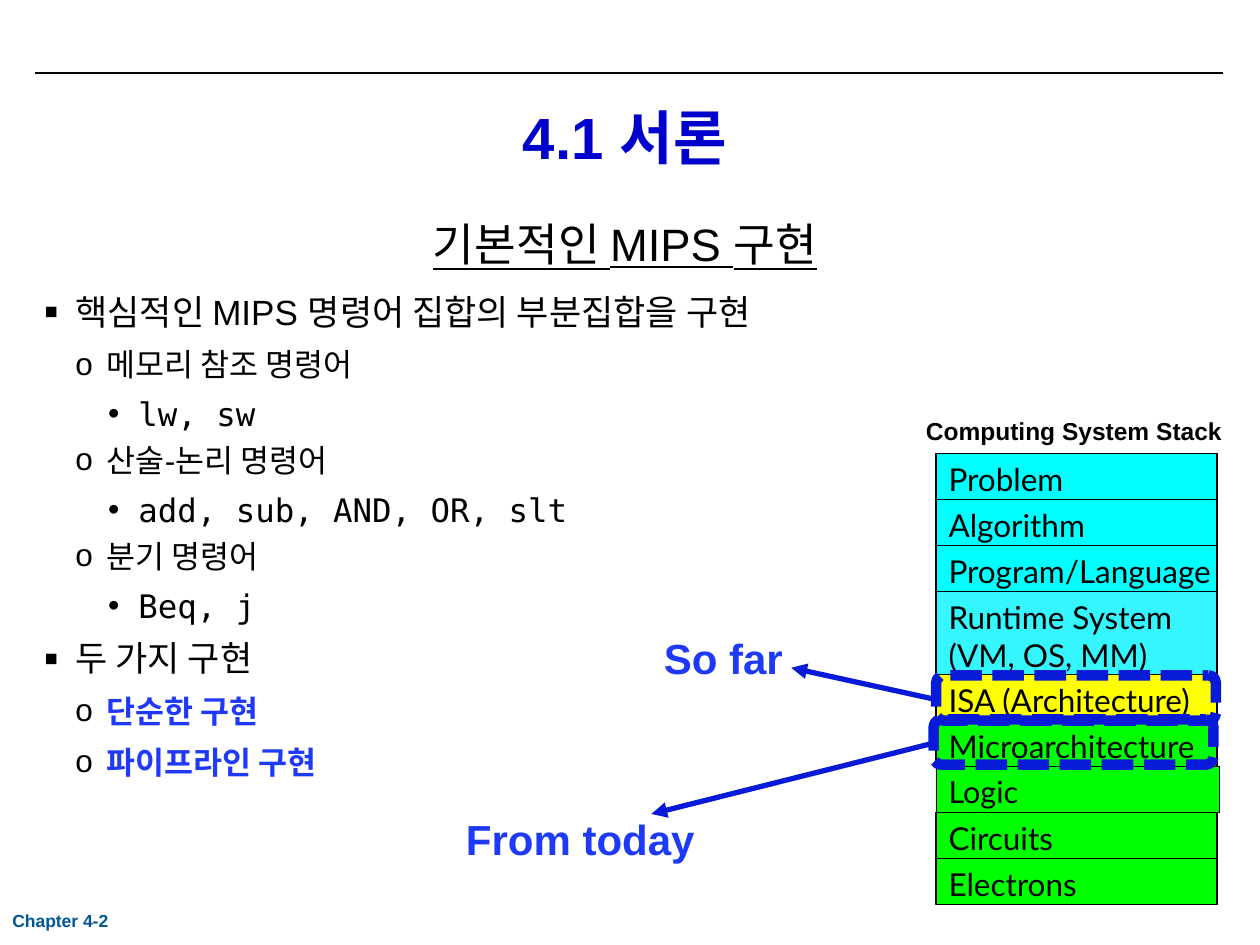
from dataclasses import dataclass

from lxml import etree
from pptx import Presentation
from pptx.dml.color import RGBColor
from pptx.enum.dml import MSO_LINE
from pptx.enum.shapes import MSO_CONNECTOR, MSO_SHAPE
from pptx.enum.text import MSO_ANCHOR, PP_ALIGN
from pptx.oxml.ns import qn
from pptx.util import Inches, Pt

RECT = MSO_SHAPE.RECTANGLE
ROUND = MSO_SHAPE.ROUNDED_RECTANGLE
LINE = MSO_CONNECTOR.STRAIGHT
DASH = MSO_LINE.SQUARE_DOT
TOP, MIDDLE = MSO_ANCHOR.TOP, MSO_ANCHOR.MIDDLE
LEFT, CENTER = PP_ALIGN.LEFT, PP_ALIGN.CENTER
MONO = "DejaVu Sans Mono"
HEX = {
    "black": "000000", "title": "0000CC", "blue": "1E3AF8", "navy": "071AD7",
    "footer": "005693", "cyan": "00FFFF", "sky": "35F6FF",
    "yellow": "FFFF00", "green": "00FF00",
}


@dataclass
class Style:
    """Look of a run of text."""
    size: float
    color: str = "black"
    bold: bool = False
    font: str = "Arial"
    under: bool = False


@dataclass
class Level:
    """Bullet, indent and spacing of an outline level."""
    mark: str
    left: float
    hang: float
    before: int
    after: int
    scale: int = 100


@dataclass
class Item:
    """One line of the outline."""
    text: str
    level: int
    style: Style


@dataclass
class Layer:
    """One box of the system stack."""
    text: str
    color: str
    height: float = 0.365
    width: float = 2.23
    size: float = 18


@dataclass
class Callout:
    """A dashed frame with an arrow to its label."""
    text: str
    frame: tuple[float, float]
    label: tuple[float, float, float]
    start: tuple[float, float]
    end: tuple[float, float]


HEAD = Style(20)
SUB = Style(18)
CODE = Style(18.5, font=MONO)
KEY = Style(18, "blue", True)
LEVELS = [
    Level("▪", 0.25, 0.25, 35, 15, 120),
    Level("o", 0.5, 0.25, 25, 15),
    Level("•", 0.75, 0.24, 20, 0),
]
ITEMS = [
    Item("핵심적인 MIPS 명령어 집합의 부분집합을 구현", 0, HEAD),
    Item("메모리 참조 명령어", 1, SUB),
    Item("lw, sw", 2, CODE),
    Item("산술-논리 명령어", 1, SUB),
    Item("add, sub, AND, OR, slt", 2, CODE),
    Item("분기 명령어", 1, SUB),
    Item("Beq, j", 2, CODE),
    Item("두 가지 구현", 0, HEAD),
    Item("단순한 구현", 1, KEY),
    Item("파이프라인 구현", 1, KEY),
]
STACK = [
    Layer("Problem", "cyan"),
    Layer("Algorithm", "cyan"),
    Layer("Program/Language", "cyan"),
    Layer("Runtime System\n(VM, OS, MM)", "sky", 0.66),
    Layer("ISA (Architecture)", "yellow"),
    Layer("Microarchitecture", "green"),
    Layer("Logic", "green", width=2.25, size=17.5),
    Layer("Circuits", "green"),
    Layer("Electrons", "green"),
]
CALLS = [
    Callout("So far", (8.36, 4.43), (5.17, 4.97, 1.16), (7.42, 5.55), (6.28, 5.3)),
    Callout("From today", (8.34, 4.78), (3.6, 6.41, 2.03), (7.4, 5.9), (5.17, 6.46)),
]


def color(name: str) -> RGBColor:
    """Look up a colour."""
    return RGBColor.from_string(HEX[name])


def format_para(para, style: Style, align=LEFT) -> None:
    """Format a paragraph and its runs."""
    para.alignment = align
    for run in para.runs:
        font = run.font
        font.name, font.size, font.bold = style.font, Pt(style.size), style.bold
        font.underline = style.under
        font.color.rgb = color(style.color)


def add_tag(node, tag: str, **attrs: str):
    """Append a DrawingML element."""
    return etree.SubElement(node, qn(f"a:{tag}"), attrs)


def space(para, before: int, after: int = 0) -> None:
    """Set paragraph spacing in percent of the line."""
    props = para._p.get_or_add_pPr()
    for tag, value in (("spcBef", before), ("spcAft", after)):
        add_tag(add_tag(props, tag), "spcPct", val=str(value * 1000))


def add_mark(para, level: Level) -> None:
    """Give a paragraph its bullet and hanging indent."""
    space(para, level.before, level.after)
    props = para._p.get_or_add_pPr()
    props.set("marL", str(Inches(level.left)))
    props.set("indent", str(Inches(-level.hang)))
    add_tag(add_tag(props, "buClr"), "srgbClr", val=HEX["black"])
    add_tag(props, "buSzPct", val=str(level.scale * 1000))
    add_tag(props, "buFont", typeface="Arial")
    add_tag(props, "buChar", char=level.mark)


def add_text(slide, text: str, area: tuple, style: Style, align=LEFT, wrap=False):
    """Add a text box and return its frame."""
    frame = slide.shapes.add_textbox(*map(Inches, area)).text_frame
    frame.word_wrap = wrap
    frame.text = text
    format_para(frame.paragraphs[0], style, align)
    return frame


def add_line(slide, start: tuple, end: tuple, name: str, width: float, arrow=False) -> None:
    """Draw a straight line, with an arrowhead if asked."""
    line = slide.shapes.add_connector(LINE, *map(Inches, start + end))
    line.line.color.rgb = color(name)
    line.line.width = Pt(width)
    if arrow:
        add_tag(line.line._get_or_add_ln(), "tailEnd", type="triangle")
    add_tag(line._element.spPr, "effectLst")


def add_layer(slide, layer: Layer, top: float) -> None:
    """Draw one box of the stack."""
    area = map(Inches, (7.43, top, layer.width, layer.height))
    box = slide.shapes.add_shape(RECT, *area)
    box.shadow.inherit = False
    box.fill.solid()
    box.fill.fore_color.rgb = color(layer.color)
    box.line.color.rgb = color("black")
    box.line.width = Pt(0.75)
    frame = box.text_frame
    frame.word_wrap = False
    frame.vertical_anchor = TOP
    frame.text = layer.text
    for para in frame.paragraphs:
        format_para(para, Style(layer.size, font="Lato"))


def add_call(slide, call: Callout) -> None:
    """Draw a dashed frame, its label and its arrow."""
    box = slide.shapes.add_shape(ROUND, *map(Inches, call.frame + (0.36, 2.22)))
    box.rotation = 90
    box.shadow.inherit = False
    box.fill.background()
    box.line.color.rgb = color("navy")
    box.line.width = Pt(6)
    box.line.dash_style = DASH
    add_text(slide, call.text, call.label + (0.5,), Style(24, "blue", True))
    add_line(slide, call.start, call.end, "navy", 3, True)


def main() -> None:
    """Build the slide."""
    deck = Presentation()
    deck.slide_width, deck.slide_height = Inches(10), Inches(7.5)
    slide = deck.slides.add_slide(deck.slide_layouts[6])
    add_line(slide, (0.28, 0.58), (9.71, 0.58), "black", 0.75)
    title = add_text(slide, "4.1 서론", (0.25, 0.75, 9.42, 0.67),
                     Style(33.2, "title", True), CENTER, True)
    title.margin_left = title.margin_right = title.margin_top = title.margin_bottom = 0
    title.vertical_anchor = MIDDLE
    body = add_text(slide, "기본적인 MIPS 구현", (0.25, 1.67, 9.42, 4.63),
                    Style(25.9, under=True), CENTER, True)
    space(body.paragraphs[0], 35, 15)
    for item in ITEMS:
        para = body.add_paragraph()
        para.text = item.text
        para.level = item.level
        format_para(para, item.style)
        add_mark(para, LEVELS[item.level])
    foot = add_text(slide, "Chapter 4-2", (0, 7.17, 1.83, 0.3),
                    Style(10, "footer", True), wrap=True)
    space(foot.paragraphs[0], 50)
    top = 3.6
    for layer in STACK:
        add_layer(slide, layer, top)
        top += layer.height
    add_text(slide, "Computing System Stack", (7.25, 3.25, 2.56, 0.34), Style(14, bold=True))
    for call in CALLS:
        add_call(slide, call)
    deck.save("out.pptx")


if __name__ == "__main__":
    main()
